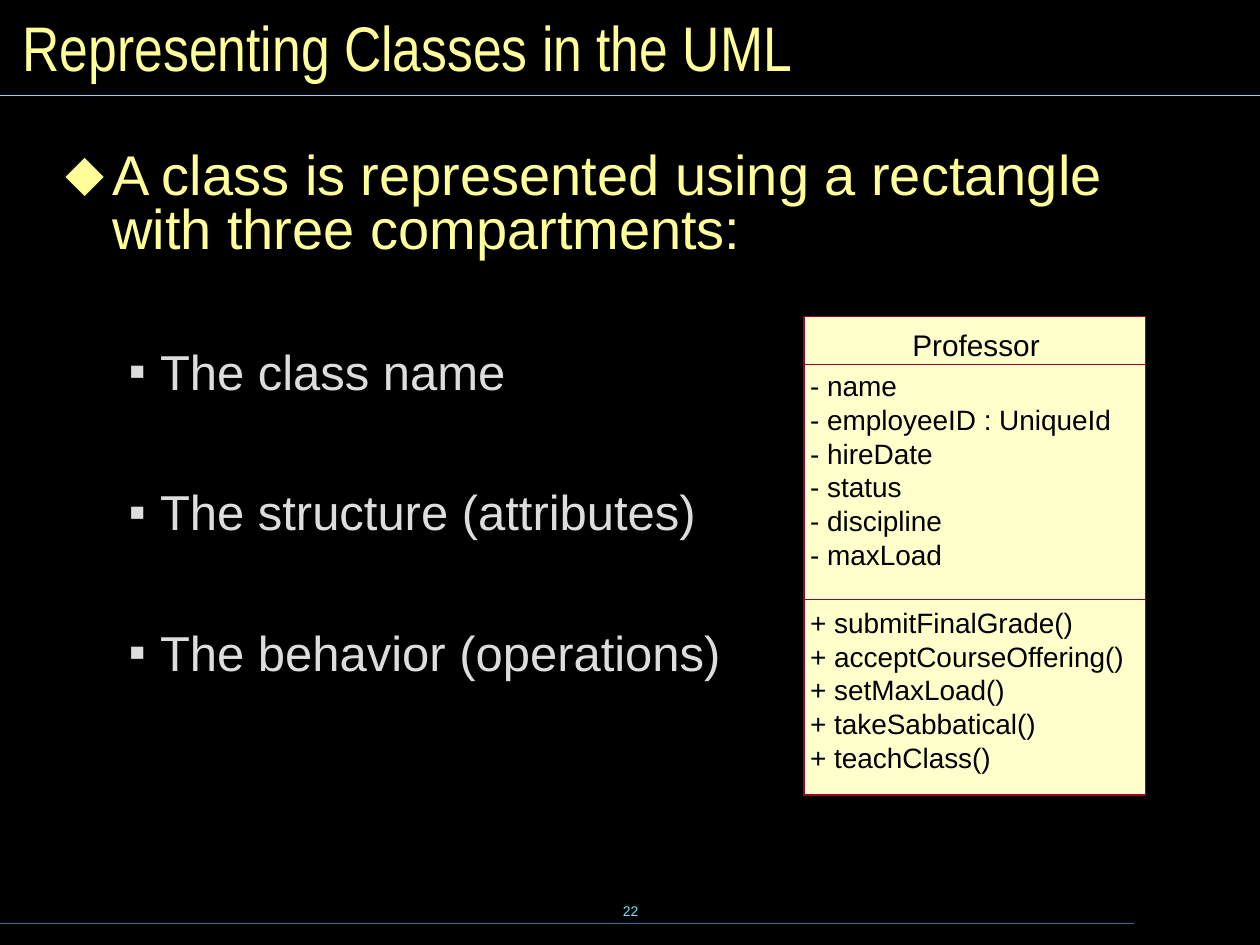
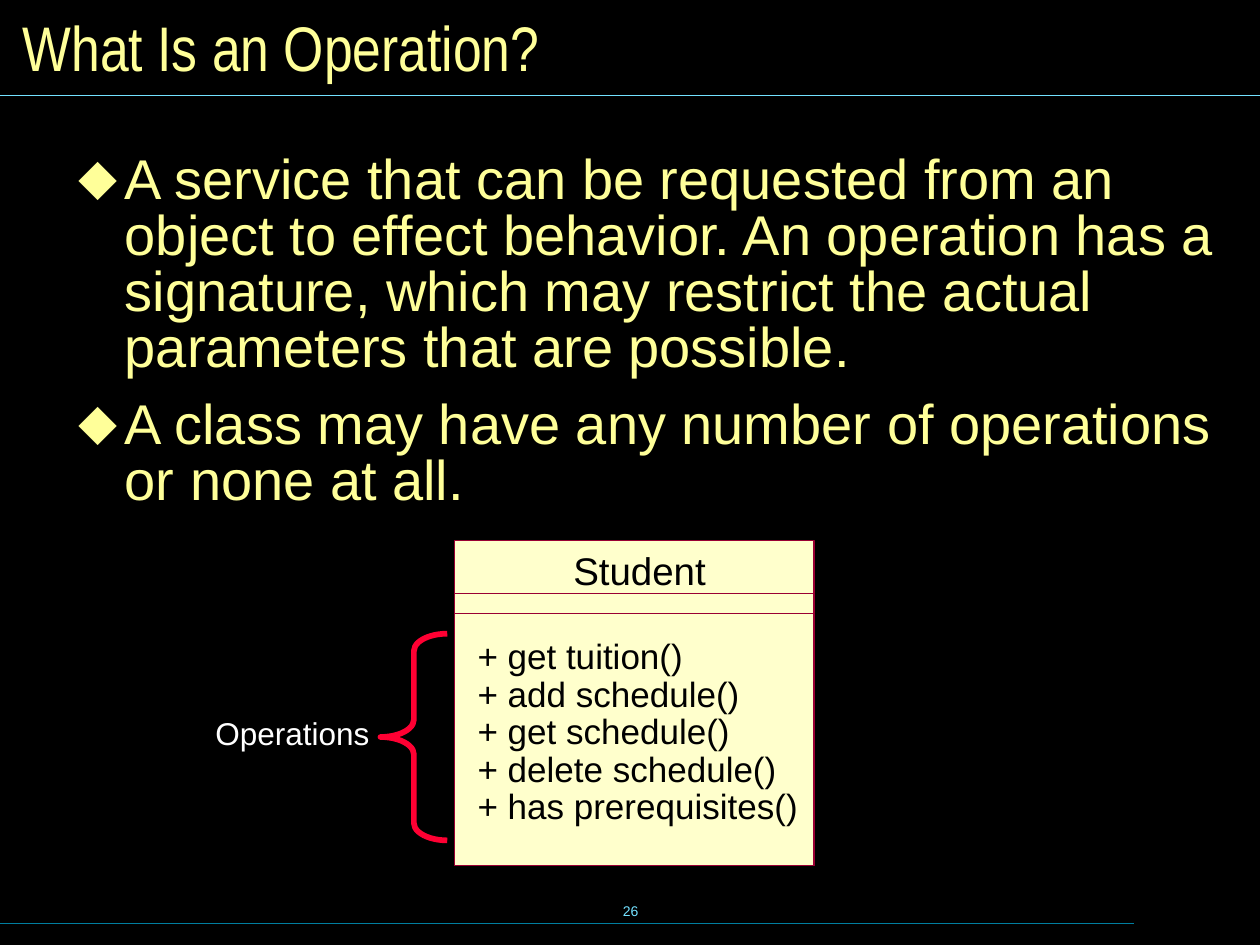
"""Build two slides on UML classes and operations."""
from lxml.etree import SubElement
from pptx import Presentation
from pptx.dml.color import RGBColor
from pptx.enum.shapes import MSO_CONNECTOR, MSO_SHAPE
from pptx.enum.text import MSO_ANCHOR, MSO_AUTO_SIZE, PP_ALIGN
from pptx.oxml.ns import qn
from pptx.util import Inches, Pt

YELLOW, GREY, CYAN, TEAL = "FFFF99", "DDDDDD", "73E1FF", "007E9F"
CREAM, MAROON, RED, BLACK, WHITE = "FFFFCC", "990033", "FF0033", "000000", "FFFFFF"


def paint(target, colour):
    if hasattr(target, "solid"):
        target.solid()
        target = target.fore_color
    else:
        target = target.color
    target.rgb = RGBColor.from_string(colour)


def write(frame, lines, size, colour, name="Arial", spacing=None, margins=(0, 0)):
    frame.word_wrap = True
    frame.auto_size = MSO_AUTO_SIZE.NONE
    frame.margin_left = frame.margin_right = Inches(margins[0])
    frame.margin_top = frame.margin_bottom = Inches(margins[1])
    for index, line in enumerate(lines):
        para = frame.paragraphs[0] if index == 0 else frame.add_paragraph()
        para.text = line
        para.alignment = PP_ALIGN.LEFT
        para.line_spacing = spacing
        para.font.name = name
        para.font.size = Pt(size)
        paint(para.font, colour)


slides = [
    {
        "title": "Representing Classes in the UML",
        "number": "22",
        "body": (0.4, 1.15, 9.29, 5.52),
        "bullets": [
            (0, "A class is represented using a rectangle with three compartments:"),
            (1, "The class name"),
            (1, "The structure (attributes)"),
            (1, "The behavior (operations)"),
        ],
        "spacing": (0.8, 0.87),
        "box": (6.38, 2.71, 6.31),
        "compartment_tops": (2.51, 2.89, 4.76),
        "texts": [
            (7.24, 2.59, 17, None, ["Professor"]),
            (6.43, 2.92, 16, Pt(19.4), [
                "- name", "- employeeID : UniqueId", "- hireDate",
                "- status", "- discipline", "- maxLoad"]),
            (6.43, 4.8, 16, Pt(19.4), [
                "+ submitFinalGrade()", "+ acceptCourseOffering()",
                "+ setMaxLoad()", "+ takeSabbatical()", "+ teachClass()"]),
        ],
    },
    {
        "title": "What Is an Operation?",
        "number": "26",
        "body": (0.5, 1.17, 9.28, 2.92),
        "bullets": [
            (0, "A service that can be requested from an object to effect behavior. "
                "An operation has a signature, which may restrict the actual "
                "parameters that are possible."),
            (0, "A class may have any number of operations or none at all."),
        ],
        "spacing": (Pt(32), None),
        "box": (3.61, 2.85, 6.87),
        "compartment_tops": (4.29, 4.71, 4.87),
        "texts": [
            (4.55, 4.34, 22, None, ["Student"]),
            (3.79, 5.07, 20, Pt(21.5), [
                "+ get tuition()", "+ add schedule()", "+ get schedule()",
                "+ delete schedule()", "+ has prerequisites()"]),
        ],
    },
]

bullet_styles = [
    {"char": "⬥", "colour": YELLOW, "size": 32, "left": 0.37, "hang": 0.37, "before": 12},
    {"char": "▪", "colour": GREY, "size": 28, "left": 0.75, "hang": 0.25, "before": 51},
]

deck = Presentation()
deck.slide_width, deck.slide_height = Inches(10), Inches(7.5)
paint(deck.slide_master.background.fill, BLACK)

for content in slides:
    page = deck.slides.add_slide(deck.slide_layouts[1])

    for width, y, colour in [(9, 7.33, TEAL), (10, 0.76, CYAN)]:
        rule = page.shapes.add_connector(
            MSO_CONNECTOR.STRAIGHT, 0, Inches(y), Inches(width), Inches(y))
        paint(rule.line, colour)
        rule.line.width = Pt(0.75)
        SubElement(rule.element.spPr, qn("a:effectLst"))

    number = page.shapes.add_textbox(Inches(3.42), Inches(6.98), Inches(3.17), Inches(0.5))
    write(number.text_frame, [content["number"]], 8, CYAN, margins=(0.1, 0.05))
    number.text_frame.vertical_anchor = MSO_ANCHOR.MIDDLE
    number.text_frame.paragraphs[0].alignment = PP_ALIGN.CENTER

    title = page.shapes.title
    title.left, title.top = Inches(0.08), Inches(0.08)
    title.width, title.height = Inches(9.84), Inches(0.58)
    write(title.text_frame, [content["title"]], 36, YELLOW, "Arial Narrow", margins=(0.1, 0.05))
    title.text_frame.vertical_anchor = MSO_ANCHOR.MIDDLE

    body = page.placeholders[1]
    body.left, body.top, body.width, body.height = map(Inches, content["body"])
    frame = body.text_frame
    frame.auto_size = MSO_AUTO_SIZE.NONE
    frame.margin_left = frame.margin_right = Inches(0.12)
    frame.margin_top = frame.margin_bottom = Inches(0.06)
    for index, (level, text) in enumerate(content["bullets"]):
        style = bullet_styles[level]
        para = frame.paragraphs[0] if index == 0 else frame.add_paragraph()
        para.text = text
        para.level = level
        properties = para._p.get_or_add_pPr()
        properties.set("marL", str(Inches(style["left"])))
        properties.set("indent", str(-Inches(style["hang"])))
        bullet_colour = SubElement(properties, qn("a:buClr"))
        SubElement(bullet_colour, qn("a:srgbClr"), val=style["colour"])
        SubElement(properties, qn("a:buChar"), char=style["char"])
        para.line_spacing = content["spacing"][level]
        para.space_before = Pt(style["before"] if index else 0)
        para.font.name = "Arial"
        para.font.size = Pt(style["size"])
        paint(para.font, style["colour"])

    left, width, bottom = content["box"]
    for index, top in enumerate(content["compartment_tops"]):
        compartment = page.shapes.add_shape(
            MSO_SHAPE.RECTANGLE, Inches(left), Inches(top), Inches(width), Inches(bottom - top))
        compartment.shadow.inherit = False
        if index == 0:
            paint(compartment.fill, CREAM)
        else:
            compartment.fill.background()
        paint(compartment.line, MAROON)
        compartment.line.width = Pt(0)

    for text_left, top, size, spacing, lines in content["texts"]:
        label = page.shapes.add_textbox(
            Inches(text_left), Inches(top), Inches(left + width - text_left),
            Inches(len(lines) * size / 60))
        write(label.text_frame, lines, size, BLACK, spacing=spacing)

brace = page.shapes.add_shape(
    MSO_SHAPE.LEFT_BRACE, Inches(3.02), Inches(5.03), Inches(0.53), Inches(1.64))
brace.adjustments[0] = 0.26
brace.shadow.inherit = False
brace.fill.background()
paint(brace.line, RED)
brace.line.width = Pt(3.25)

caption = page.shapes.add_textbox(Inches(1.59), Inches(5.61), Inches(1.5), Inches(0.42))
write(caption.text_frame, ["Operations"], 18, WHITE, margins=(0.12, 0.06))

deck.save("out.pptx")
